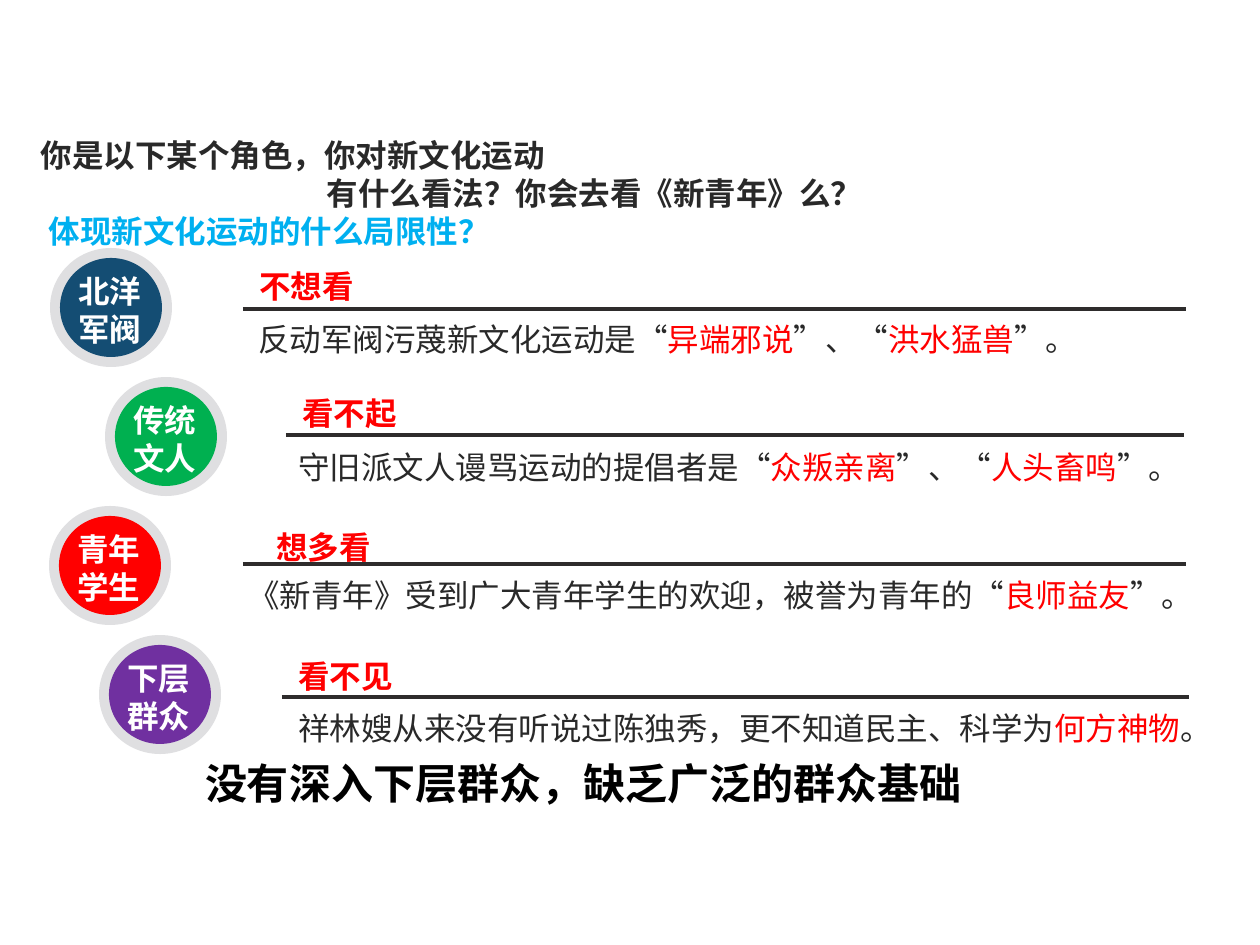
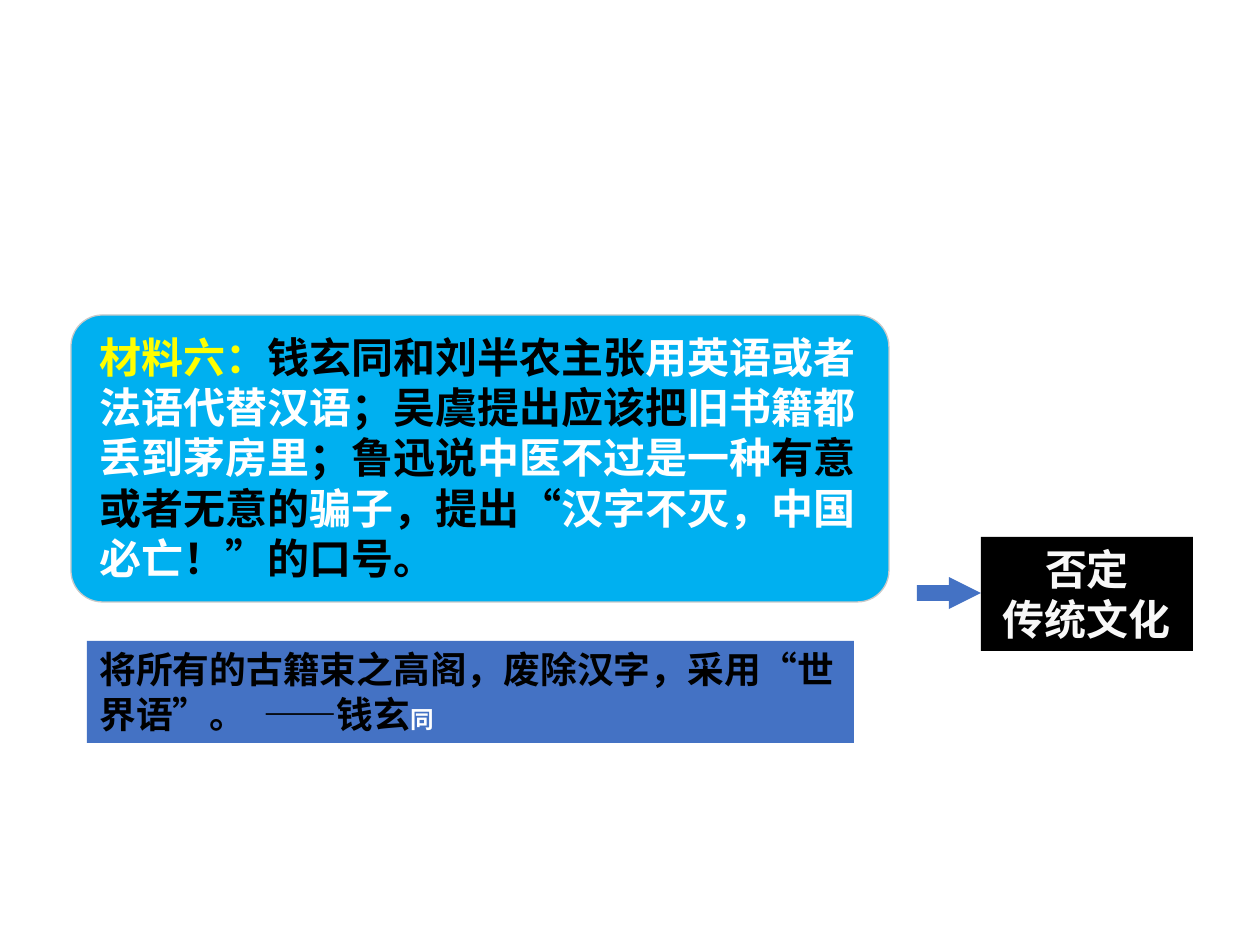
from lxml.etree import SubElement
from pptx import Presentation
from pptx.dml.color import RGBColor
from pptx.enum.shapes import MSO_CONNECTOR as Connector, MSO_SHAPE as Shape
from pptx.enum.text import MSO_ANCHOR as Anchor, MSO_AUTO_SIZE as AutoSize, PP_ALIGN as Align
from pptx.oxml.ns import qn
from pptx.util import Pt

# Shared style
PX = 914400 / 126
FONT = "Noto Sans CJK SC"
INK, RED, WHITE, BLACK = "292929", "FF0000", "FFFFFF", "000000"
SKY, BLUE, YELLOW = "00B0F0", "4472C4", "FFFF00"
RING, RULE, EDGE, PALE = "DFDFE1", "2E2C2C", "C9C9C9", "F8F8F8"

# Slide 1 content: paragraphs are (indent, runs), runs are (text, colour)
QUESTION = [
    (0, [("你是以下某个角色，你对新文化运动", INK)]),
    (286, [("有什么看法？你会去看《新青年》么？", INK)]),
    (8, [("体现新文化运动的什么局限性？", SKY)]),
]
ROLES = [
    dict(role="北洋军阀", colour="144D73", circle_x=50, rule=(243, 1186, 309),
         verdict="不想看", verdict_at=(247, 261), statement_at=(246, 314, 872),
         statement=[("反动军阀污蔑新文化运动是“", INK), ("异端邪说", RED), ("”、“", INK),
                    ("洪水猛兽", RED), ("”。", INK)]),
    dict(role="传统文人", colour="00B050", circle_x=105, rule=(286, 1184, 435),
         verdict="看不起", verdict_at=(290, 388), statement_at=(286, 442, 887),
         statement=[("守旧派文人谩骂运动的提倡者是“", INK), ("众叛亲离", RED), ("”、“", INK),
                    ("人头畜鸣", RED), ("”。", INK)]),
    dict(role="青年学生", colour=RED, circle_x=49, rule=(243, 1186, 564),
         verdict="想多看", verdict_at=(264, 522), statement_at=(236, 570, 950),
         statement=[("《新青年》受到广大青年学生的欢迎，被誉为青年的“", INK),
                    ("良师益友", RED), ("”。", INK)]),
    dict(role="下层群众", colour="7030A0", circle_x=99, rule=(282, 1189, 697),
         verdict="看不见", verdict_at=(286, 651), statement_at=(286, 703, 910),
         statement=[("祥林嫂从来没有听说过陈独秀，更不知道民主、科学为", INK),
                    ("何方神物", RED), ("。", INK)]),
]
LIMITATION = "没有深入下层群众，缺乏广泛的群众基础"
FIRST_CIRCLE_Y, ROLE_STEP = 248, 129

# Slide 2 content
MATERIAL = [
    ("材料六：", YELLOW), ("钱玄同和刘半农主张", BLACK), ("用英语或者法语代替汉语", WHITE),
    ("；吴虞提出应该把", BLACK), ("旧书籍都丢到茅房里", WHITE), ("；鲁迅说", BLACK),
    ("中医不过是一种", WHITE), ("有意或者无意的", BLACK), ("骗子", WHITE),
    ("，提出“", BLACK), ("汉字不灭，中国必亡", WHITE), ("！”的口号。", BLACK),
]
QUOTE = [("将所有的古籍束之高阁，废除汉字，采用“世界语”。\t——钱玄", BLACK), ("同", WHITE, 13.5)]
SIGNATURE_X = 164
CONCLUSION = ["否定", "传统文化"]


def px(*lengths):
    return [round(length * PX) for length in lengths]


def rgb(value):
    return RGBColor.from_string(value)


def add_runs(paragraph, runs, size, bold):
    for text, colour, *own_size in runs:
        run = paragraph.add_run()
        run.text = text
        font = run.font
        font.size, font.bold, font.name = Pt(own_size[0] if own_size else size), bold, FONT
        font.color.rgb = rgb(colour)
        properties = run._r.get_or_add_rPr()
        properties.set("lang", "zh-CN")
        SubElement(properties, qn("a:ea")).set("typeface", FONT)


def write(holder, paragraphs, size=18, bold=True, align=Align.LEFT, anchor=Anchor.TOP):
    frame = holder.text_frame
    frame.word_wrap, frame.auto_size, frame.vertical_anchor = True, AutoSize.NONE, anchor
    frame.margin_left, frame.margin_right = px(12.6, 12.6)
    frame.margin_top, frame.margin_bottom = px(6.3, 6.3)
    for i, (indent, runs) in enumerate(paragraphs):
        paragraph = frame.add_paragraph() if i else frame.paragraphs[0]
        paragraph.alignment = align
        if indent:
            paragraph._p.get_or_add_pPr().set("marL", str(px(indent)[0]))
        add_runs(paragraph, runs, size, bold)


def add_text(slide, box, runs, **style):
    write(slide.shapes.add_textbox(*px(*box)), [(0, runs)], **style)


def add_block(slide, kind, box, fill, edge=None):
    block = slide.shapes.add_shape(kind, *px(*box))
    block.shadow.inherit = False
    block.fill.solid()
    block.fill.fore_color.rgb = rgb(fill)
    if edge:
        block.line.color.rgb = rgb(edge)
        block.line.width = Pt(0)
    else:
        block.line.fill.background()
    return block


def add_rule(slide, left, right, y):
    rule = slide.shapes.add_connector(Connector.STRAIGHT, *px(left, y, right, y))
    rule.line.color.rgb = rgb(RULE)
    rule.line.width = Pt(0)
    SubElement(rule._element.spPr, qn("a:effectLst"))


def build_roles(slide):
    # Heading question
    title = slide.shapes.title
    title.left, title.top, title.width, title.height = px(28, 130, 1192, 127)
    write(title, QUESTION)

    # One circle, verdict and statement per role
    for i, row in enumerate(ROLES):
        x, y = row["circle_x"], FIRST_CIRCLE_Y + i * ROLE_STEP
        add_rule(slide, *row["rule"])
        add_text(slide, (*row["verdict_at"], 620, 50), [(row["verdict"], RED)])
        add_text(slide, (*row["statement_at"], 50), row["statement"], bold=False)
        add_block(slide, Shape.OVAL, (x, y, 122, 119), RING)
        add_block(slide, Shape.OVAL, (x + 10, y + 10, 102, 99), row["colour"])
        add_text(slide, (x + 4, y + 18, 112, 89), [(row["role"], WHITE)], align=Align.CENTER)

    add_text(slide, (164, 751, 838, 63), [(LIMITATION, BLACK)], size=24, align=Align.CENTER)


def build_material(slide):
    # Source material panel
    panel = add_block(slide, Shape.ROUNDED_RECTANGLE, (71, 315, 818, 287), SKY, EDGE)
    panel.adjustments[0] = 0.11
    add_text(slide, (87, 325, 782, 267), MATERIAL, size=24)

    # Quotation with its signature on a tab stop
    quotation = add_block(slide, Shape.RECTANGLE, (87, 641, 767, 102), BLUE)
    properties = quotation.text_frame.paragraphs[0]._p.get_or_add_pPr()
    stop = SubElement(SubElement(properties, qn("a:tabLst")), qn("a:tab"))
    stop.set("pos", str(px(SIGNATURE_X)[0]))
    stop.set("algn", "l")
    write(quotation, [(0, QUOTE)], size=21)

    # Arrow to the conclusion
    arrow = add_block(slide, Shape.RIGHT_ARROW, (917, 577, 64, 32), BLUE)
    arrow.adjustments[0], arrow.adjustments[1] = 0.5, 1
    conclusion = add_block(slide, Shape.RECTANGLE, (981, 537, 212, 114), BLACK)
    write(conclusion, [(0, [(line, PALE)]) for line in CONCLUSION],
          size=24, align=Align.CENTER, anchor=Anchor.MIDDLE)


def main():
    deck = Presentation()
    deck.slide_width, deck.slide_height = px(1260, 945)
    title_only, blank = deck.slide_layouts[5], deck.slide_layouts[6]
    build_roles(deck.slides.add_slide(title_only))
    build_material(deck.slides.add_slide(blank))
    deck.save("out.pptx")


if __name__ == "__main__":
    main()
